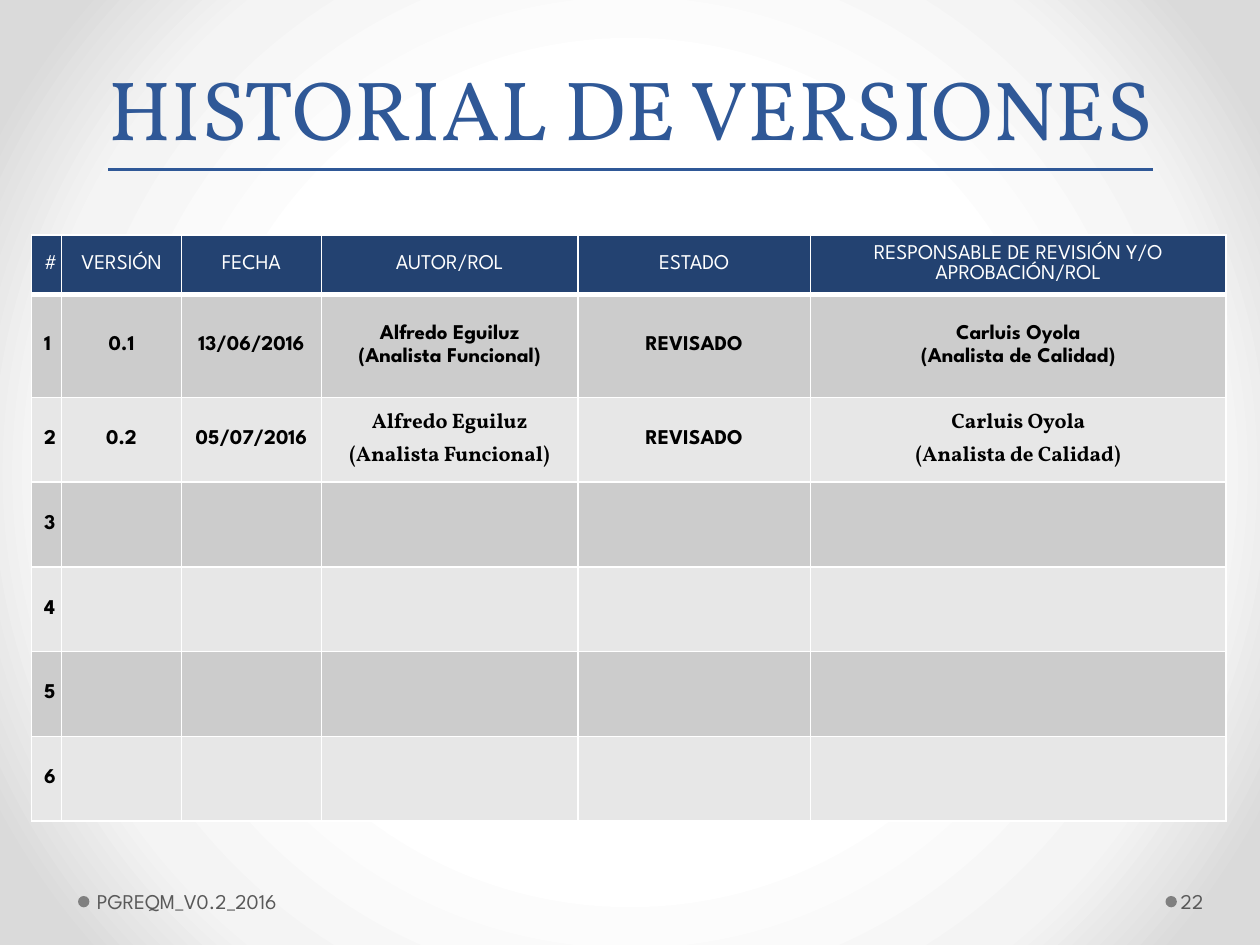
from dataclasses import dataclass
from typing import NamedTuple

from lxml import etree
from pptx import Presentation
from pptx.dml.color import RGBColor
from pptx.enum.shapes import MSO_SHAPE
from pptx.enum.text import MSO_ANCHOR, MSO_AUTO_SIZE, PP_ALIGN
from pptx.oxml import parse_xml
from pptx.oxml.ns import nsdecls, qn
from pptx.util import Pt

MIDDLE, BOTTOM = MSO_ANCHOR.MIDDLE, MSO_ANCHOR.BOTTOM
LEFT, CENTER = PP_ALIGN.LEFT, PP_ALIGN.CENTER
OVAL = MSO_SHAPE.OVAL
NO_AUTOFIT = MSO_AUTO_SIZE.NONE
TITLE_ONLY = 5


@dataclass(frozen=True)
class Theme:
    """Colours, fonts and type sizes of the slide."""
    title: str = "2F5897"
    header: str = "234271"
    bands: tuple = ("CCCCCC", "E7E7E7")
    white: str = "FFFFFF"
    ink: str = "000000"
    footer: str = "595959"
    dot: str = "808080"
    glow: tuple = ((50, "FFFFFF"), (76, "F4F4F4"), (92, "DADADA"))
    sans: str = "League Spartan"
    serif: str = "Vollkorn"
    title_size: int = 48
    text_size: int = 12


class FooterItem(NamedTuple):
    """A footer text with the dot in front of it."""
    text: str
    dot_left: float
    left: float
    width: float
    inset_left: float
    inset_right: float


class Version(NamedTuple):
    """One line of the version history."""
    number: str
    version: str = ""
    date: str = ""
    author: str = ""
    status: str = ""
    reviewer: str = ""


THEME = Theme()
HEADINGS = ("#", "VERSIÓN", "FECHA", "AUTOR/ROL", "ESTADO",
            "RESPONSABLE DE REVISIÓN Y/O APROBACIÓN/ROL")
AUTHOR = "Alfredo Eguiluz\n(Analista Funcional)"
REVIEWER = "Carluis Oyola\n(Analista de Calidad)"
VERSIONS = (
    Version("1", "0.1", "13/06/2016", AUTHOR, "REVISADO", REVIEWER),
    Version("2", "0.2", "05/07/2016", AUTHOR, "REVISADO", REVIEWER),
    *(Version(str(number)) for number in range(3, 7)),
)
SERIF_CELLS = {(2, 3), (2, 5)}
COLUMN_WIDTHS = (17, 68.5, 80, 146.5, 133, 237.5)
ROW_HEIGHTS = (34, 59, *[48.4] * 5)
FOOTER = (
    FooterItem("22", 666, 672.5, 44, 2.2, 3.6),
    FooterItem("PGREQM_V0.2_2016", 44.6, 51.8, 285, 3.6, 7.2),
)


def style_text(frame, font, size, color, align, bold=False, space_before=0):
    """Format every paragraph and run of a text frame."""
    for paragraph in frame.paragraphs:
        paragraph.alignment = align
        paragraph.space_before = Pt(space_before)
        for run in paragraph.runs:
            run.font.name = font
            run.font.size = Pt(size)
            run.font.bold = bold
            run.font.color.rgb = RGBColor.from_string(color)


def set_background(slide) -> None:
    """Fill the background with a circular gradient around the centre."""
    stops = "".join(f'<a:gs pos="{position * 1000}"><a:srgbClr val="{color}"/></a:gs>'
                    for position, color in THEME.glow)
    background = parse_xml(
        f'<p:bg {nsdecls("p", "a")}><p:bgPr><a:gradFill rotWithShape="1">'
        f'<a:gsLst>{stops}</a:gsLst><a:path path="circle">'
        '<a:fillToRect l="50000" t="50000" r="50000" b="50000"/></a:path>'
        '</a:gradFill><a:effectLst/></p:bgPr></p:bg>')
    slide.element.cSld.insert(0, background)


def add_title(slide, text: str) -> None:
    """Place and format the underlined title."""
    title = slide.shapes.title
    title.left, title.top, title.width, title.height = Pt(20), Pt(13.7), Pt(680.5), Pt(80)
    frame = title.text_frame
    frame.text = text
    frame.word_wrap = True
    frame.auto_size = NO_AUTOFIT
    frame.vertical_anchor = BOTTOM
    style_text(frame, THEME.serif, THEME.title_size, THEME.title, CENTER)
    frame.paragraphs[0].runs[0].font.underline = True


def add_footer_item(slide, item: FooterItem) -> None:
    """Draw a footer dot and its text."""
    dot = slide.shapes.add_shape(OVAL, Pt(item.dot_left), Pt(512), Pt(6.5), Pt(6.5))
    dot.shadow.inherit = False
    dot.fill.solid()
    dot.fill.fore_color.rgb = RGBColor.from_string(THEME.dot)
    dot.line.fill.background()
    label = slide.shapes.add_textbox(Pt(item.left), Pt(500.4), Pt(item.width), Pt(28.8))
    frame = label.text_frame
    frame.text = item.text
    frame.word_wrap = True
    frame.vertical_anchor = MIDDLE
    frame.margin_left, frame.margin_right = Pt(item.inset_left), Pt(item.inset_right)
    style_text(frame, THEME.sans, THEME.text_size, THEME.footer, LEFT)


def set_borders(cell, bottom_width: float) -> None:
    """Give a cell white borders, with its own width at the bottom."""
    properties = cell._tc.get_or_add_tcPr()
    widths = {"a:lnL": 1, "a:lnR": 1, "a:lnT": 1, "a:lnB": bottom_width}
    for index, (tag, width) in enumerate(widths.items()):
        line = etree.Element(qn(tag), w=str(Pt(width)))
        fill = etree.SubElement(line, qn("a:solidFill"))
        etree.SubElement(fill, qn("a:srgbClr"), val=THEME.white)
        properties.insert(index, line)


def fill_cell(cell, text: str, row: int, column: int) -> None:
    """Write and format one table cell."""
    is_header = row == 0
    background = THEME.header if is_header else THEME.bands[(row - 1) % 2]
    cell.fill.solid()
    cell.fill.fore_color.rgb = RGBColor.from_string(background)
    set_borders(cell, 3 if is_header else 1)
    cell.vertical_anchor = MIDDLE
    cell.text_frame.text = text
    style_text(cell.text_frame,
               THEME.serif if (row, column) in SERIF_CELLS else THEME.sans,
               THEME.text_size, THEME.white if is_header else THEME.ink, CENTER,
               bold=not is_header, space_before=0 if is_header else 2.4)


def add_history(slide) -> None:
    """Build the table of versions."""
    rows = (HEADINGS, *VERSIONS)
    history = slide.shapes.add_table(
        len(rows), len(HEADINGS), Pt(18), Pt(134.2),
        Pt(sum(COLUMN_WIDTHS)), Pt(sum(ROW_HEIGHTS))).table
    for column, width in zip(history.columns, COLUMN_WIDTHS):
        column.width = Pt(width)
    for row, height in zip(history.rows, ROW_HEIGHTS):
        row.height = Pt(height)
    for row_index, texts in enumerate(rows):
        for column_index, text in enumerate(texts):
            fill_cell(history.cell(row_index, column_index), text, row_index, column_index)


def main() -> None:
    """Build and save the slide."""
    deck = Presentation()
    deck.slide_width, deck.slide_height = Pt(720), Pt(540)
    slide = deck.slides.add_slide(deck.slide_layouts[TITLE_ONLY])
    set_background(slide)
    add_title(slide, "HISTORIAL DE VERSIONES")
    add_history(slide)
    for item in FOOTER:
        add_footer_item(slide, item)
    deck.save("out.pptx")


main()
